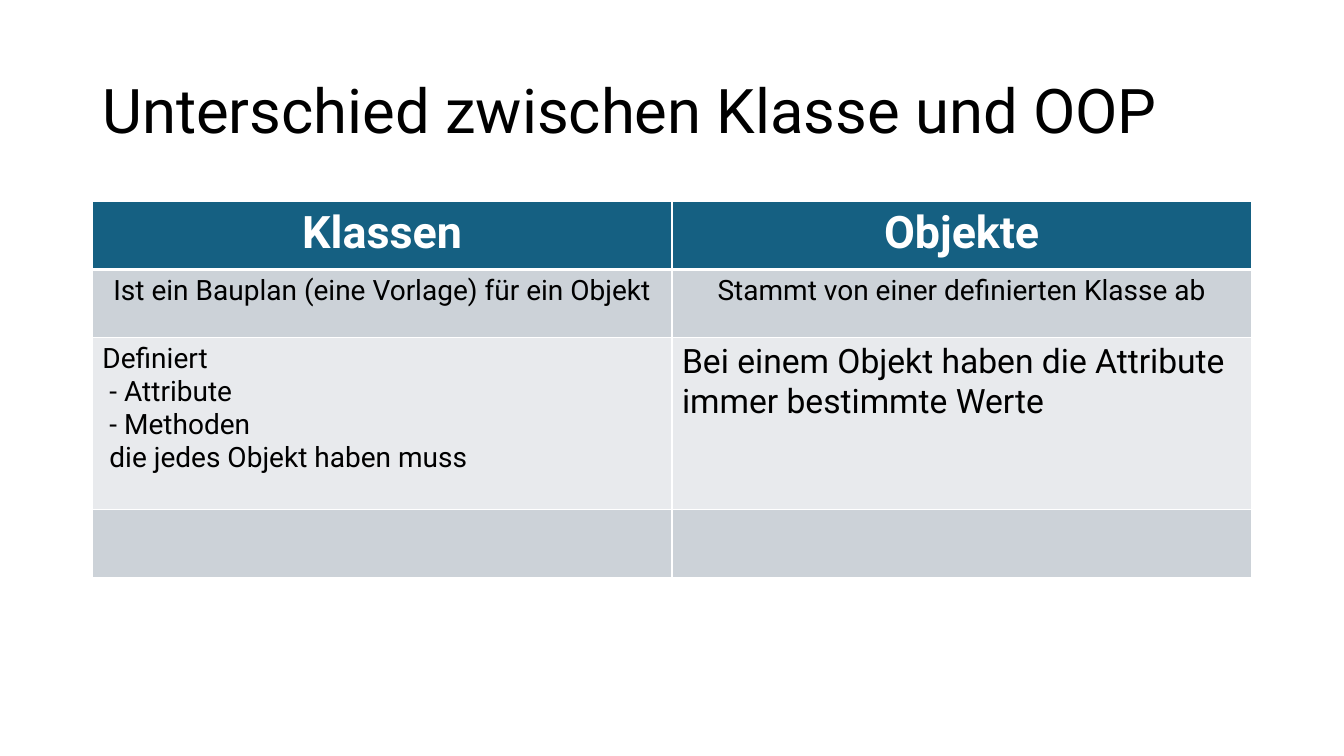
from dataclasses import dataclass

import pptx
import pptx.dml.color
import pptx.enum.text
import pptx.oxml.ns
import pptx.util
from lxml import etree

Pt = pptx.util.Pt
RGB = pptx.dml.color.RGBColor.from_string
ALIGN = pptx.enum.text.PP_ALIGN
ANCHOR = pptx.enum.text.MSO_ANCHOR
qn = pptx.oxml.ns.qn


@dataclass(frozen=True)
class Theme:
    font: str = "Roboto"
    ink: str = "000000"
    white: str = "FFFFFF"
    header_fill: str = "156082"
    dark_band: str = "CCD2D8"
    light_band: str = "E8EAED"
    title_size: int = 44
    header_size: int = 32
    large_size: int = 24
    body_size: int = 20
    thin_rule: int = 1
    thick_rule: int = 3


THEME = Theme()
ROW_HEIGHTS = [48.5, 48.5, 123, 48.5]
LIST_INDENT = 5  # points

# Each cell: lines as (text, indent), type size, alignment
ROWS = [
    [([("Klassen", 0)], THEME.header_size, ALIGN.CENTER),
     ([("Objekte", 0)], THEME.header_size, ALIGN.CENTER)],
    [([("Ist ein Bauplan (eine Vorlage) für ein Objekt", 0)],
      THEME.body_size, ALIGN.CENTER),
     ([("Stammt von einer definierten Klasse ab", 0)],
      THEME.body_size, ALIGN.CENTER)],
    [([("Definiert", 0), ("- Attribute", LIST_INDENT),
       ("- Methoden", LIST_INDENT),
       ("die jedes Objekt haben muss", LIST_INDENT)],
      THEME.body_size, ALIGN.LEFT),
     ([("Bei einem Objekt haben die Attribute immer bestimmte Werte", 0)],
      THEME.large_size, ALIGN.LEFT)],
    [([], THEME.body_size, ALIGN.LEFT)] * 2,
]


def style_paragraph(paragraph, size, color, bold=False):
    paragraph.font.name = THEME.font
    paragraph.font.size = Pt(size)
    paragraph.font.bold = bold
    paragraph.font.color.rgb = RGB(color)


def add_title(slide, text, left, top, width, height):
    title = slide.shapes.add_textbox(Pt(left), Pt(top), Pt(width), Pt(height))
    frame = title.text_frame
    frame.word_wrap = True
    frame.vertical_anchor = ANCHOR.MIDDLE
    heading = frame.paragraphs[0]
    heading.text = text
    heading.line_spacing = 0.9
    style_paragraph(heading, THEME.title_size, THEME.ink)


def set_borders(cell, top, bottom):
    """Draw white rules around a cell; the side rules are always thin."""
    properties = cell._tc.get_or_add_tcPr()
    widths = {"a:lnL": THEME.thin_rule, "a:lnR": THEME.thin_rule,
              "a:lnT": top, "a:lnB": bottom}
    for position, (side, width) in enumerate(widths.items()):
        rule = etree.Element(qn(side), w=str(Pt(width)))
        fill = etree.SubElement(rule, qn("a:solidFill"))
        etree.SubElement(fill, qn("a:srgbClr"), val=THEME.white)
        properties.insert(position, rule)


def fill_cell(cell, row, lines, size, alignment):
    is_header = row == 0
    band = THEME.dark_band if row % 2 else THEME.light_band
    cell.fill.solid()
    cell.fill.fore_color.rgb = RGB(THEME.header_fill if is_header else band)
    set_borders(cell,
                top=THEME.thick_rule if row == 1 else THEME.thin_rule,
                bottom=THEME.thick_rule if is_header else THEME.thin_rule)

    cell.text = "\n".join(text for text, _ in lines)
    color = THEME.white if is_header else THEME.ink
    for paragraph in cell.text_frame.paragraphs:
        paragraph.alignment = alignment
        style_paragraph(paragraph, size, color, bold=is_header)
    for paragraph, (_, indent) in zip(cell.text_frame.paragraphs, lines):
        paragraph._p.get_or_add_pPr().set("marL", str(Pt(indent)))


def add_comparison(slide, left, top, width):
    columns = len(ROWS[0])
    comparison = slide.shapes.add_table(
        len(ROWS), columns, Pt(left), Pt(top), Pt(width),
        Pt(sum(ROW_HEIGHTS))).table
    for column in comparison.columns:
        column.width = Pt(width / columns)
    for row, (height, contents) in enumerate(zip(ROW_HEIGHTS, ROWS)):
        comparison.rows[row].height = Pt(height)
        for column, content in enumerate(contents):
            fill_cell(comparison.cell(row, column), row, *content)


def main():
    deck = pptx.Presentation()
    deck.slide_width, deck.slide_height = Pt(960), Pt(540)
    slide = deck.slides.add_slide(deck.slide_layouts[6])
    margin, content_width = 66, 828
    add_title(slide, "Unterschied zwischen Klasse und OOP",
              margin, 28.75, content_width, 104.4)
    add_comparison(slide, margin, 144, content_width)
    deck.save("out.pptx")


if __name__ == "__main__":
    main()
